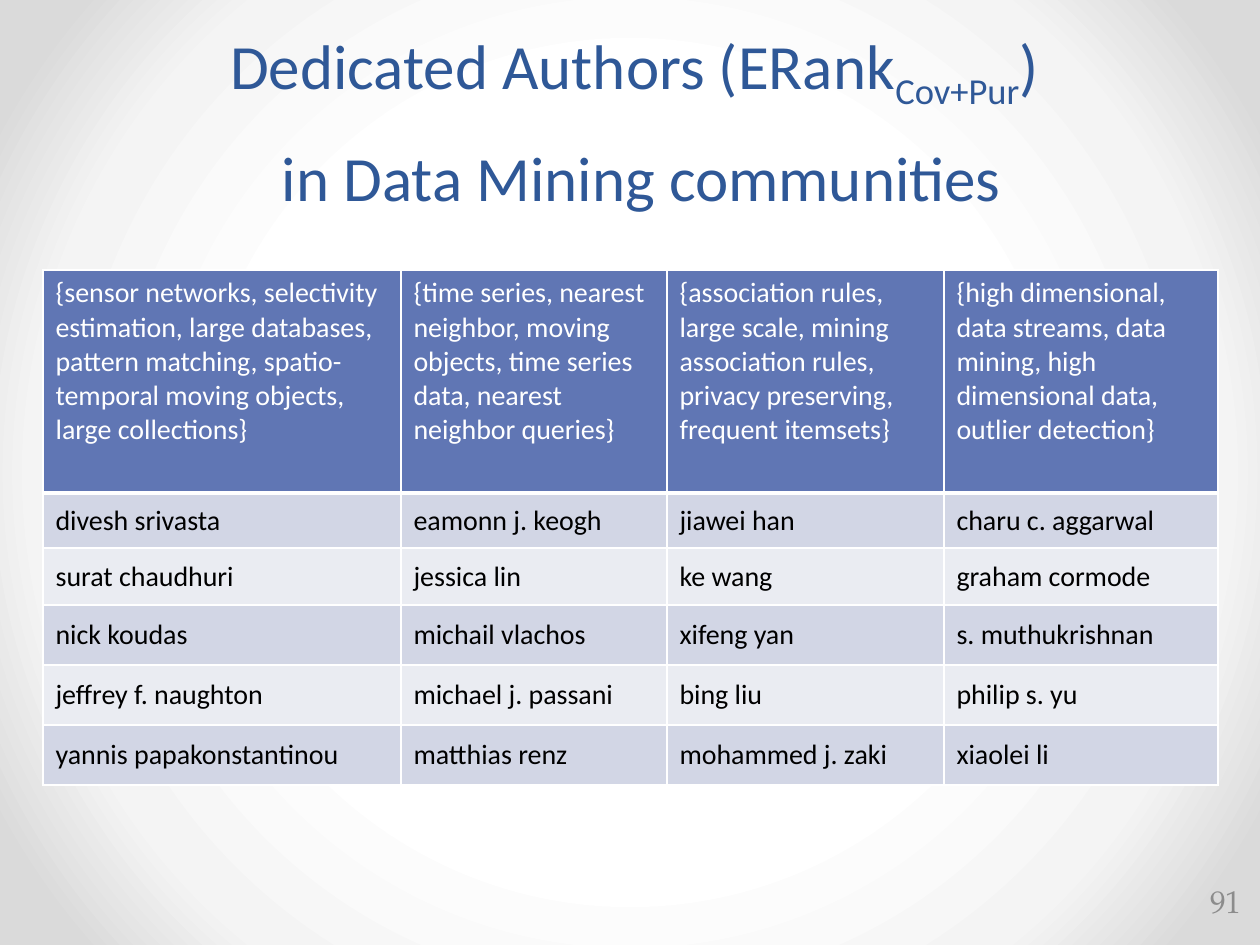
from dataclasses import dataclass

from lxml.etree import SubElement as Sub
from pptx import Presentation
from pptx.dml.color import RGBColor as Rgb
from pptx.enum.text import MSO_ANCHOR as Anchor, MSO_AUTO_SIZE as AutoSize, PP_ALIGN as Align
from pptx.oxml import parse_xml
from pptx.oxml.ns import nsdecls, qn
from pptx.util import Emu, Pt

SCALE = 914400 / 126


@dataclass(frozen=True)
class Theme:
    """Fonts, colours and type sizes of the slide."""
    body_font: str = "Calibri"
    number_font: str = "TeX Gyre Pagella"
    title: str = "2F5897"
    header: str = "6076B4"
    bands: tuple = ("D2D6E5", "EAECF2")
    light: str = "FFFFFF"
    dark: str = "000000"
    muted: str = "8C8C8C"
    backdrop: tuple = ((50, "FFFFFF"), (76, "F4F4F4"), (92, "DADADA"))
    title_size: int = 36
    title_leading: int = 58
    table_size: int = 16
    number_size: int = 18


THEME = Theme()
COLUMN_WIDTHS = (358, 266, 277, 274)
ROW_HEIGHTS = (223, 55, 57, 60, 60, 60)
COMMUNITIES = (
    ("{sensor networks, selectivity estimation, large databases, pattern matching, "
     "spatio- temporal moving objects, large collections}",
     "{time series, nearest neighbor, moving objects, time series data, nearest neighbor queries}",
     "{association rules, large scale, mining association rules, privacy preserving, "
     "frequent itemsets}",
     "{high dimensional, data streams, data mining, high dimensional data, outlier detection}"),
    ("divesh srivasta", "eamonn j. keogh", "jiawei han", "charu c. aggarwal"),
    ("surat chaudhuri", "jessica lin", "ke wang", "graham cormode"),
    ("nick koudas", "michail vlachos", "xifeng yan", "s. muthukrishnan"),
    ("jeffrey f. naughton", "michael j. passani", "bing liu", "philip s. yu"),
    ("yannis papakonstantinou", "matthias renz", "mohammed j. zaki", "xiaolei li"),
)


def px(length):
    """Turn px into EMU."""
    return Emu(round(length * SCALE))


def style(font, name, size, color):
    """Set the typeface, size and colour of a font."""
    font.name, font.size = name, Pt(size)
    font.color.rgb = Rgb.from_string(color)


def paint_background(page):
    """Fill the page with a circular gradient."""
    stops = "".join(f'<a:gs pos="{place * 1000}"><a:srgbClr val="{color}"/></a:gs>'
                    for place, color in THEME.backdrop)
    page.background.fill.solid()
    solid = page.background._cSld.find(".//" + qn("a:solidFill"))
    solid.getparent().replace(solid, parse_xml(
        f'<a:gradFill {nsdecls("a")} rotWithShape="1"><a:gsLst>{stops}</a:gsLst>'
        '<a:path path="circle"><a:fillToRect l="50000" t="50000" r="50000" b="50000"/>'
        '</a:path></a:gradFill>'))


def place_title(page, left, top, width, height):
    """Place the two-line title with its subscript."""
    title = page.shapes.title
    title.left, title.top, title.width, title.height = map(px, (left, top, width, height))
    frame = title.text_frame
    frame.auto_size, frame.word_wrap = AutoSize.NONE, True
    frame.vertical_anchor = Anchor.BOTTOM
    para = frame.paragraphs[0]
    para.alignment, para.line_spacing = Align.CENTER, Pt(THEME.title_leading)
    style(para.font, THEME.body_font, THEME.title_size, THEME.title)
    para.add_run().text = "Dedicated Authors (ERank"
    subscript = para.add_run()
    subscript.text = "Cov+Pur"
    subscript.font._element.set("baseline", "-25000")
    para.add_run().text = ") "
    para.add_line_break()
    para.add_run().text = "in Data Mining communities"


def add_borders(cell, top, bottom):
    """Draw light borders round a cell, with the given top and bottom widths."""
    properties = cell._tc.get_or_add_tcPr()
    widths = {"lnL": 1, "lnR": 1, "lnT": top, "lnB": bottom}
    for index, (side, width) in enumerate(widths.items()):
        line = Sub(properties, qn(f"a:{side}"), w=str(Pt(width)))
        Sub(Sub(line, qn("a:solidFill")), qn("a:srgbClr"), val=THEME.light)
        properties.insert(index, line)


def place_table(page, left, top):
    """Place the communities and their authors as a banded table."""
    frame = page.shapes.add_table(len(ROW_HEIGHTS), len(COLUMN_WIDTHS), px(left), px(top),
                                  px(sum(COLUMN_WIDTHS)), px(sum(ROW_HEIGHTS)))
    table = frame.table
    for column, width in zip(table.columns, COLUMN_WIDTHS):
        column.width = px(width)
    for index, (row, height, texts) in enumerate(zip(table.rows, ROW_HEIGHTS, COMMUNITIES)):
        row.height = px(height)
        is_header = index == 0
        fill = THEME.header if is_header else THEME.bands[(index - 1) % 2]
        for cell, text in zip(row.cells, texts):
            cell.text = text
            cell.vertical_anchor = Anchor.TOP if is_header else Anchor.MIDDLE
            cell.fill.solid()
            cell.fill.fore_color.rgb = Rgb.from_string(fill)
            add_borders(cell, 3 if index == 1 else 1, 3 if is_header else 1)
            font = cell.text_frame.paragraphs[0].font
            style(font, THEME.body_font, THEME.table_size,
                  THEME.light if is_header else THEME.dark)
            font.bold = False


def place_number(page, left, top, width, height):
    """Place the page number."""
    box = page.shapes.add_textbox(*map(px, (left, top, width, height)))
    frame = box.text_frame
    frame.word_wrap, frame.vertical_anchor = True, Anchor.MIDDLE
    para = frame.paragraphs[0]
    para.text, para.alignment = "91", Align.RIGHT
    style(para.font, THEME.number_font, THEME.number_size, THEME.muted)


def main():
    """Build the slide and save the deck."""
    deck = Presentation()
    deck.slide_width, deck.slide_height = px(1260), px(945)
    page = deck.slides.add_slide(deck.slide_layouts.get_by_name("Title Only"))
    paint_background(page)
    place_title(page, 23, 0, 1237, 220)
    place_table(page, 43, 270)
    place_number(page, 1177, 876, 77, 50)
    deck.save("out.pptx")


if __name__ == "__main__":
    main()
